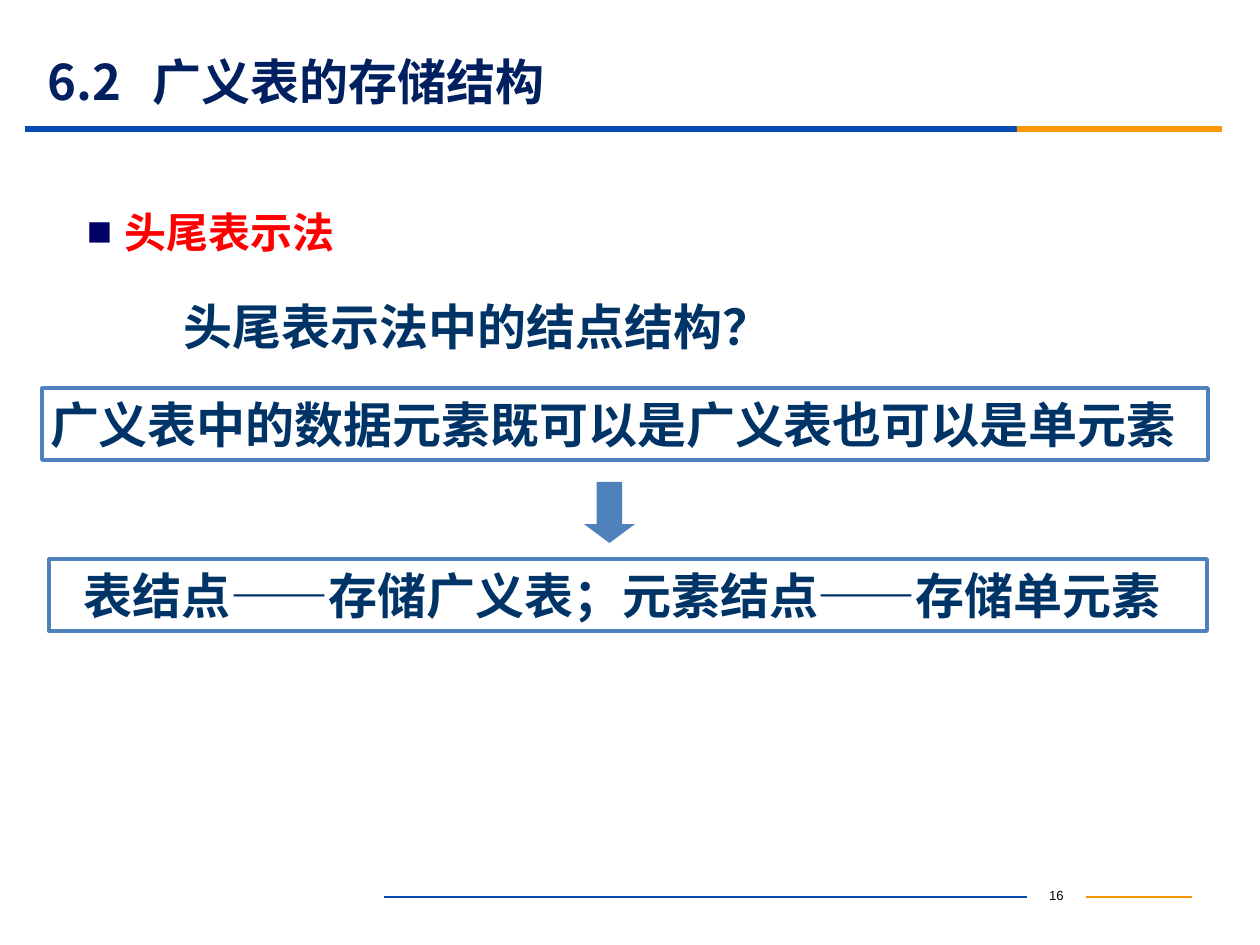
from pptx import Presentation
from pptx.dml.color import RGBColor
from pptx.enum.shapes import MSO_CONNECTOR as Connector, MSO_SHAPE as Shape
from pptx.enum.text import MSO_ANCHOR as Anchor, PP_ALIGN as Align
from pptx.oxml.ns import qn
from pptx.util import Emu, Pt
from lxml.etree import SubElement

COLORS = {
    "title": "002060", "text": "003366", "accent": "FF0000",
    "bullet": "000066", "box": "4F81BD", "blue": "064BB2",
    "orange": "FB9708", "footer_orange": "F19500", "black": "000000",
}
HEADING_FONT = "Noto Sans CJK SC"
NUMBER_FONT = "Arial"


def px(length):
    return Emu(round(length * 914400 / 126))


def color(name):
    return RGBColor.from_string(COLORS[name])


class SlideBuilder:
    def __init__(self, slide):
        self.slide = slide

    def set_text(self, shape, text, size, ink, font=HEADING_FONT, bold=True,
                 align=Align.LEFT, anchor=Anchor.TOP, inset=13, bullet=None, tab=None):
        frame = shape.text_frame
        frame.word_wrap = True
        frame.vertical_anchor = anchor
        frame.margin_left, frame.margin_right = px(inset), 0
        frame.margin_top = frame.margin_bottom = px(6)
        paragraph = frame.paragraphs[0]
        paragraph.text = text
        paragraph.alignment = align
        properties = paragraph._p.get_or_add_pPr()
        if bullet:
            properties.set("marL", str(px(38)))
            properties.set("indent", str(-px(38)))
            bullet_color = SubElement(properties, qn("a:buClr"))
            SubElement(bullet_color, qn("a:srgbClr"), val=COLORS["bullet"])
            SubElement(properties, qn("a:buFont"), typeface=NUMBER_FONT)
            SubElement(properties, qn("a:buChar"), char=bullet)
        if tab:
            tabs = SubElement(properties, qn("a:tabLst"))
            SubElement(tabs, qn("a:tab"), pos=str(px(tab)), algn="l")
        style = paragraph.font
        style.name, style.size, style.bold = font, Pt(size), bold
        style.color.rgb = color(ink)
        SubElement(style._element, qn("a:ea"), typeface=font)

    def text(self, left, top, width, height, text, size, ink, **options):
        shape = self.slide.shapes.add_textbox(px(left), px(top), px(width), px(height))
        self.set_text(shape, text, size, ink, **options)

    def shape(self, kind, left, top, width, height, fill=None):
        shape = self.slide.shapes.add_shape(kind, px(left), px(top), px(width), px(height))
        shape.shadow.inherit = False
        if fill:
            shape.fill.solid()
            shape.fill.fore_color.rgb = color(fill)
        else:
            shape.fill.background()
        shape.line.fill.background()
        return shape

    def box(self, left, top, width, height, text, inset):
        shape = self.shape(Shape.RECTANGLE, left, top, width, height)
        shape.line.color.rgb = color("box")
        shape.line.width = Pt(2.25)
        self.set_text(shape, text, 28, "text", anchor=Anchor.MIDDLE, inset=inset)

    def arrow(self, left, top, width, height):
        shape = self.shape(Shape.DOWN_ARROW, left, top, width, height, "box")
        shape.adjustments[0] = 0.5
        shape.adjustments[1] = 0.37

    def rule(self, left, right, y, ink):
        line = self.slide.shapes.add_connector(
            Connector.STRAIGHT, px(left), px(y), px(right), px(y))
        line.line.color.rgb = color(ink)
        line.line.width = Pt(0.75)
        SubElement(line._element.spPr, qn("a:effectLst"))


def main():
    presentation = Presentation()
    presentation.slide_width, presentation.slide_height = px(1260), px(945)
    builder = SlideBuilder(presentation.slides.add_slide(presentation.slide_layouts[6]))

    builder.text(1027, 881, 59, 31, "16", 7.5, "black", font=NUMBER_FONT,
                 bold=False, align=Align.CENTER, inset=0)
    builder.rule(1086, 1192, 897, "footer_orange")
    builder.rule(384, 1027, 897, "blue")
    builder.shape(Shape.RECTANGLE, 25, 126, 992, 6, "blue")
    builder.shape(Shape.RECTANGLE, 1017, 126, 205, 6, "orange")

    builder.text(35, 54, 1134, 54, "6.2\t广义表的存储结构", 28, "title",
                 anchor=Anchor.MIDDLE, tab=105)
    builder.text(74, 200, 1071, 110, "头尾表示法", 24, "accent", bullet="■")
    builder.text(171, 290, 939, 72, "头尾表示法中的结点结构？", 28, "text")
    builder.box(42, 388, 1166, 72, "广义表中的数据元素既可以是广义表也可以是单元素", 8)
    builder.arrow(584, 482, 51, 61)
    builder.box(49, 559, 1158, 72, "表结点——存储广义表；元素结点——存储单元素", 35)

    presentation.save("out.pptx")


if __name__ == "__main__":
    main()
